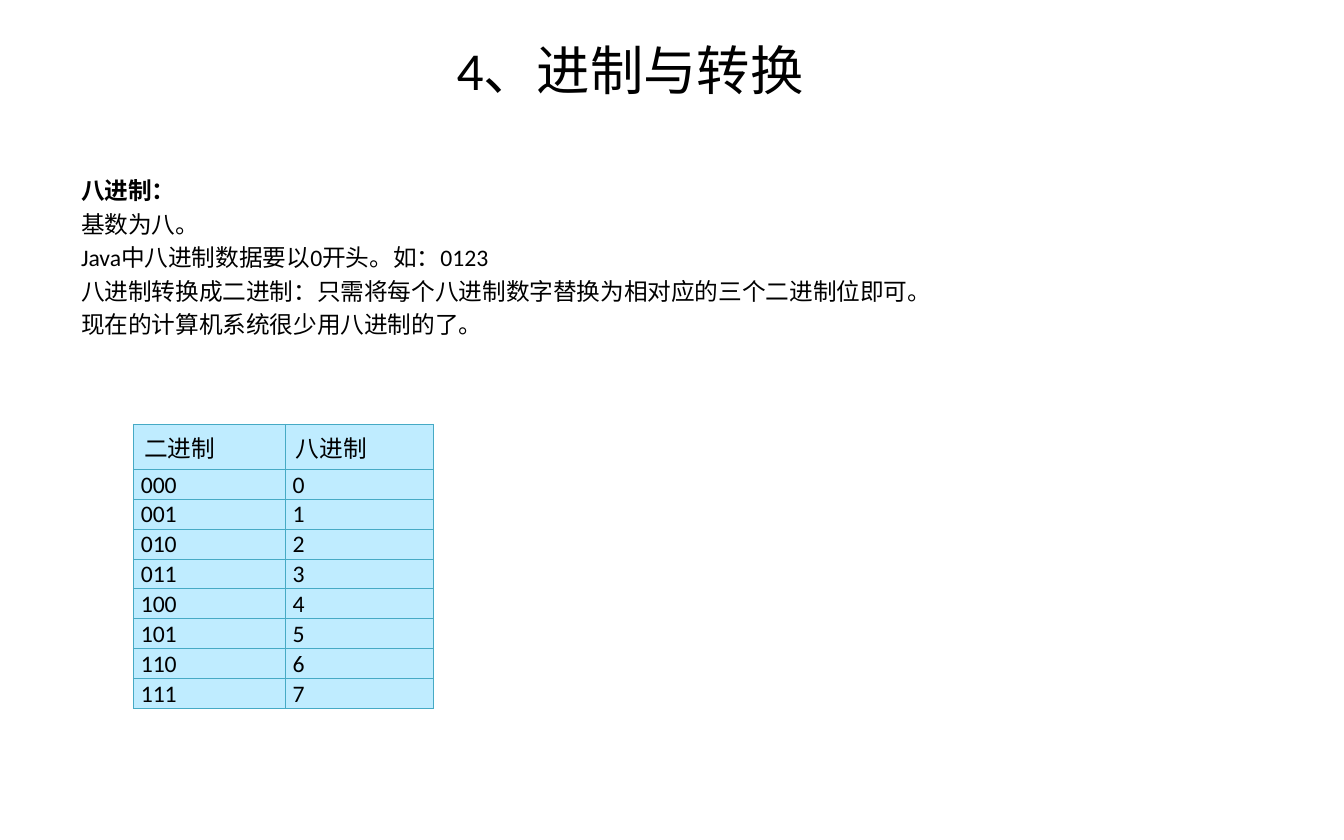
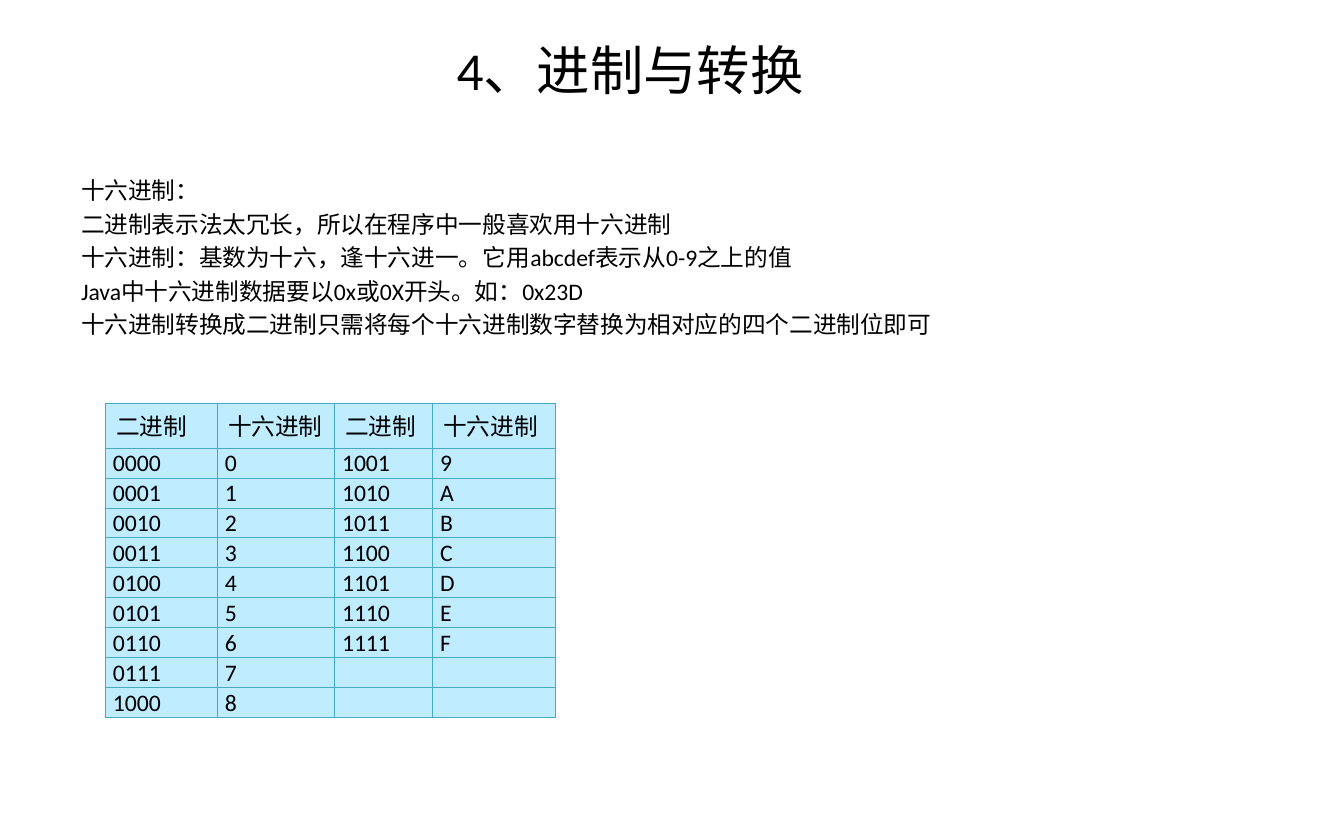
from lxml.etree import SubElement
from pptx import Presentation
from pptx.dml.color import RGBColor
from pptx.enum.text import MSO_ANCHOR, PP_ALIGN
from pptx.oxml.ns import qn
from pptx.util import Inches, Pt

BLACK = RGBColor(0x00, 0x00, 0x00)
PALE_BLUE = RGBColor(0xBF, 0xEC, 0xFF)
TEAL = RGBColor(0x46, 0xAA, 0xC5)
FONT = "Calibri"
TITLE = "4、进制与转换"
TITLE_SIZE, TEXT_SIZE = Pt(36), Pt(16)
COLUMNS, ROWS = 40, 25
HEADER_ROWS, VALUE_ROWS = 1.34, 0.89

prs = Presentation()
prs.slide_width = Inches(12.6)
UNIT = prs.slide_width / COLUMNS  # the slide is a grid of square units
prs.slide_height = round(UNIT * ROWS)


def grid(*counts):
    return [round(count * UNIT) for count in counts]


def add_run(paragraph, text, size, bold=False):
    run = paragraph.add_run()
    run.text = text
    run.font.name, run.font.size, run.font.bold = FONT, size, bold
    run.font.color.rgb = BLACK


octal = [("二进制", "八进制")] + [(f"{n:03b}", f"{n:o}") for n in range(8)]

hexadecimal = [("二进制", "十六进制") * 2]
for n in range(9):
    upper = n + 9
    right = (f"{upper:04b}", f"{upper:X}") if upper < 16 else ("", "")
    hexadecimal.append((f"{n:04b}", f"{n:X}") + right)

topics = [
    {
        "lines": [
            "八进制：",
            "基数为八。",
            "Java中八进制数据要以0开头。如：0123",
            "八进制转换成二进制：只需将每个八进制数字替换为相对应的三个二进制位即可。",
            "现在的计算机系统很少用八进制的了。",
        ],
        "bold_heading": True,
        "values": octal,
        "corner": (3.97, 12.63),
        "widths": (4.52, 4.4),
    },
    {
        "lines": [
            "十六进制：",
            "二进制表示法太冗长，所以在程序中一般喜欢用十六进制",
            "十六进制：基数为十六，逢十六进一。它用abcdef表示从0-9之上的值",
            "Java中十六进制数据要以0x或0X开头。如：0x23D",
            "十六进制转换成二进制只需将每个十六进制数字替换为相对应的四个二进制位即可",
        ],
        "bold_heading": False,
        "values": hexadecimal,
        "corner": (3.14, 12),
        "widths": (3.33, 3.49, 2.92, 3.66),
    },
]

for topic in topics:
    slide = prs.slides.add_slide(prs.slide_layouts[6])

    title = slide.shapes.add_textbox(*grid(5, 1, 27.5, 2.1)).text_frame
    explanation = slide.shapes.add_textbox(*grid(2, 5.02, 36, 16.85)).text_frame
    for frame in (title, explanation):
        frame.word_wrap = True
        frame.margin_left = frame.margin_right = Inches(0.13)
        frame.margin_top = frame.margin_bottom = Inches(0.07)

    title.vertical_anchor = MSO_ANCHOR.MIDDLE
    title.paragraphs[0].alignment = PP_ALIGN.CENTER
    add_run(title.paragraphs[0], TITLE, TITLE_SIZE)

    for index, line in enumerate(topic["lines"]):
        paragraph = explanation.add_paragraph() if index else explanation.paragraphs[0]
        paragraph.line_spacing = Pt(19.3)
        paragraph.space_before = Pt(3.2)
        add_run(paragraph, line, TEXT_SIZE, topic["bold_heading"] and index == 0)

    values, widths = topic["values"], topic["widths"]
    height = HEADER_ROWS + VALUE_ROWS * (len(values) - 1)
    conversion = slide.shapes.add_table(
        len(values), len(widths), *grid(*topic["corner"], sum(widths), height)
    ).table
    conversion.first_row = conversion.horz_banding = False
    for column, width in zip(conversion.columns, grid(*widths)):
        column.width = width

    for r, row_values in enumerate(values):
        conversion.rows[r].height = grid(VALUE_ROWS if r else HEADER_ROWS)[0]
        for c, value in enumerate(row_values):
            cell = conversion.cell(r, c)
            if r:
                cell.margin_left = cell.margin_right = Inches(0.07)
                cell.margin_top, cell.margin_bottom = Inches(0.01), 0
                cell.vertical_anchor = MSO_ANCHOR.MIDDLE
            paragraph = cell.text_frame.paragraphs[0]
            if value:
                add_run(paragraph, value, TEXT_SIZE)
            else:
                # keeps an empty cell as low as the filled ones
                SubElement(paragraph._p, qn("a:endParaRPr"), sz=str(TEXT_SIZE.centipoints))

            properties = cell._tc.get_or_add_tcPr()
            for side in ("a:lnL", "a:lnR", "a:lnT", "a:lnB"):
                border = SubElement(properties, qn(side), w=str(Pt(0.75)))
                fill = SubElement(border, qn("a:solidFill"))
                SubElement(fill, qn("a:srgbClr"), val=str(TEAL))
            cell.fill.solid()
            cell.fill.fore_color.rgb = PALE_BLUE

prs.save("out.pptx")
